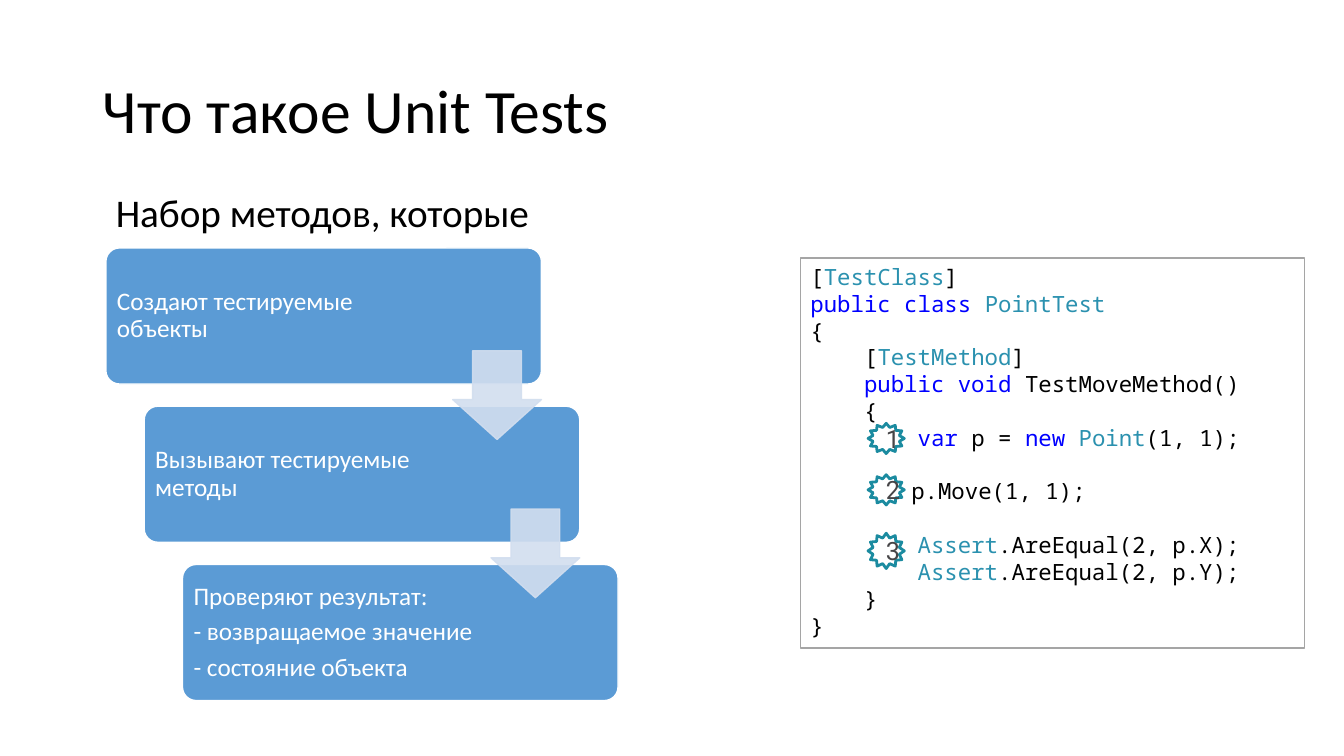
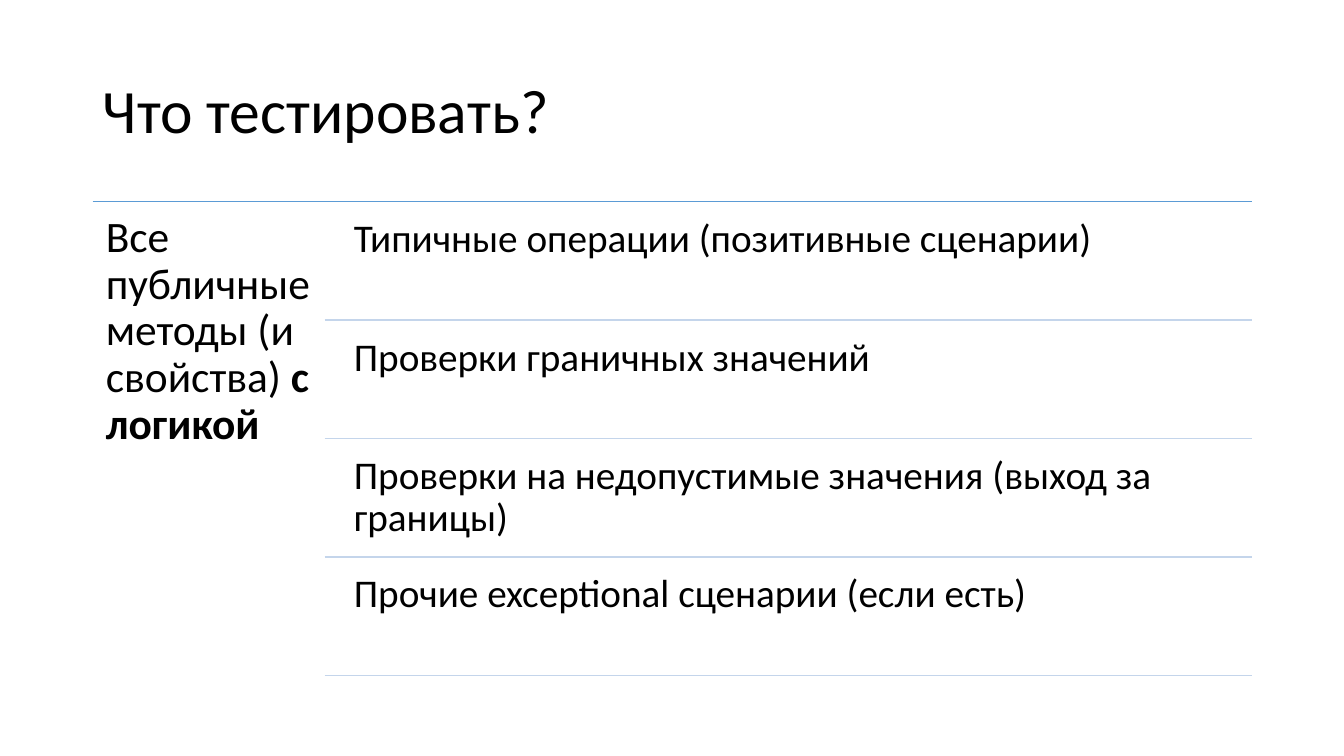
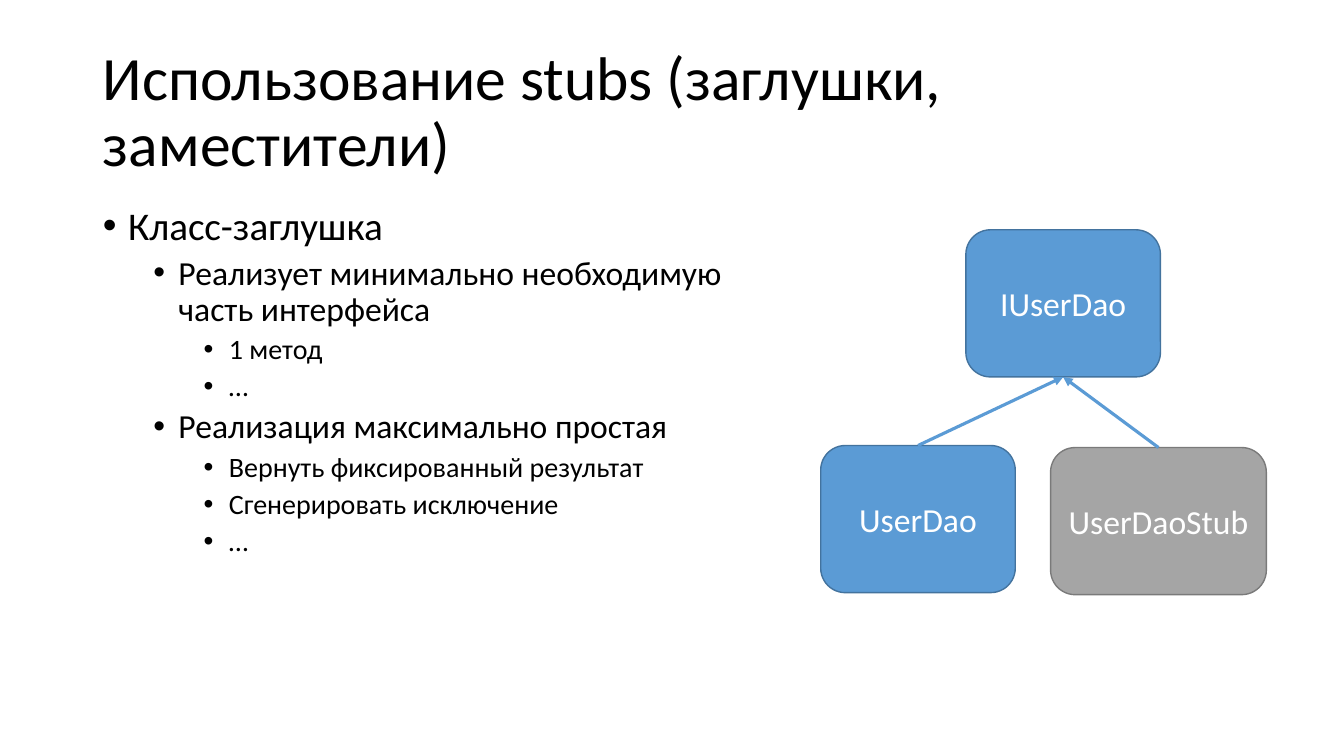
"""Build three slides about unit tests: definition, scope and stubs."""
from lxml import etree
from pptx import Presentation
from pptx.dml import color
from pptx.enum import shapes, text
from pptx.oxml import ns
from pptx.util import Inches, Pt

COLOURS = {
    "black": "000000", "white": "FFFFFF", "blue": "5B9BD5", "blue edge": "43739E",
    "pale": "D2DEEF", "rule": "C4D5EB", "grey": "A5A5A5", "grey edge": "7A7A7A",
    "teal": "1B8BA0", "digit": "464547", "keyword": "0000FF", "type": "2B91AF",
}
SLIDE_WIDTH, SLIDE_HEIGHT = 13.33, 7.5
LEFT, CONTENT_TOP, CONTENT_WIDTH = 0.92, 2, 11.5
TITLE_BOX = (LEFT, 0.4, CONTENT_WIDTH, 1.45)
TITLE_ONLY, TITLE_AND_BODY = 5, 1

STEPS = [
    ["Создают тестируемые объекты"],
    ["Вызывают тестируемые методы"],
    ["Проверяют результат:", "- возвращаемое значение", "- состояние объекта"],
]
CODE = [
    [("[", "black"), ("TestClass", "type"), ("]", "black")],
    [("public class ", "keyword"), ("PointTest", "type")],
    [("{", "black")],
    [("    [", "black"), ("TestMethod", "type"), ("]", "black")],
    [("    public void ", "keyword"), ("TestMoveMethod()", "black")],
    [("    {", "black")],
    [("        var", "keyword"), (" p = ", "black"), ("new ", "keyword"),
     ("Point", "type"), ("(1, 1);", "black")],
    [],
    [("\tp.Move(1, 1);", "black")],
    [],
    [("        Assert", "type"), (".AreEqual(2, p.X);", "black")],
    [("        Assert", "type"), (".AreEqual(2, p.Y);", "black")],
    [("    }", "black")],
    [("}", "black")],
]
CODE_LINE, CODE_TAB = 19, 1
MARKS = [("1", 4.2, 0.3), ("2", 4.71, 0.3), ("3", 5.29, 0.35)]
SCOPE = [("Все публичные методы (и свойства) ", "black"), ("с логикой", "black")]
CASES = [
    "Типичные операции (позитивные сценарии)",
    "Проверки граничных значений",
    "Проверки на недопустимые значения (выход за границы)",
    "Прочие exceptional сценарии (если есть)",
]
STUB_POINTS = [
    (0, "Класс-заглушка"),
    (1, "Реализует минимально необходимую часть интерфейса"),
    (2, "1 метод"),
    (2, "…"),
    (1, "Реализация максимально простая"),
    (2, "Вернуть фиксированный результат"),
    (2, "Сгенерировать исключение"),
    (2, "…"),
]
LEVEL_SIZES = [28, 24, 20]
CLASSES = [
    ("IUserDao", (9.58, 2.28, 1.93, 1.46), "blue"),
    ("UserDao", (8.14, 4.42, 1.93, 1.46), "blue"),
    ("UserDaoStub", (10.42, 4.44, 2.14, 1.46), "grey"),
]


def rgb(name):
    return color.RGBColor.from_string(COLOURS[name])


def style_run(run, size, colour, font="Calibri"):
    run.font.size = Pt(size)
    run.font.name = font
    run.font.color.rgb = rgb(colour)


def write(frame, rows, size, font="Calibri", spacing=None, after=0,
          align=text.PP_ALIGN.LEFT, anchor=text.MSO_ANCHOR.TOP, insets=None):
    """Fill a frame with rows of (text, colour) runs; an empty row becomes a gap."""
    frame.word_wrap = True
    frame.auto_size = text.MSO_AUTO_SIZE.NONE
    frame.vertical_anchor = anchor
    if insets:
        (frame.margin_left, frame.margin_top, frame.margin_right,
         frame.margin_bottom) = map(Inches, insets)
    paragraph, gap = None, 0
    for row in rows:
        if not row:
            gap += CODE_LINE
            continue
        paragraph = frame.add_paragraph() if paragraph else frame.paragraphs[0]
        paragraph.alignment = align
        if spacing:
            paragraph.line_spacing = spacing
        if after:
            paragraph.space_after = Pt(after)
        if gap:
            paragraph.space_before = Pt(gap)
            gap = 0
        for content, colour in row:
            run = paragraph.add_run()
            run.text = content
            style_run(run, size, colour, font)


def place(shape, box):
    shape.left, shape.top, shape.width, shape.height = map(Inches, box)


def add_slide(presentation, layout, title):
    slide = presentation.slides.add_slide(presentation.slide_layouts[layout])
    place(slide.shapes.title, TITLE_BOX)
    write(slide.shapes.title.text_frame, [[(title, "black")]], 44, spacing=0.9,
          anchor=text.MSO_ANCHOR.MIDDLE)
    return slide


def add_box(slide, kind, box, fill, line, width=1, adjustments=()):
    shape = slide.shapes.add_shape(kind, *map(Inches, box))
    shape.shadow.inherit = False
    shape.fill.solid()
    shape.fill.fore_color.rgb = rgb(fill)
    shape.line.color.rgb = rgb(line)
    shape.line.width = Pt(width)
    for index, value in enumerate(adjustments):
        shape.adjustments[index] = value
    return shape


def add_text(slide, box, rows, size, **options):
    frame = slide.shapes.add_textbox(*map(Inches, box)).text_frame
    write(frame, rows, size, **options)
    return frame


def add_line(slide, start, end, colour, width=1, arrow=False):
    line = slide.shapes.add_connector(
        shapes.MSO_CONNECTOR.STRAIGHT, *map(Inches, (*start, *end)))
    line.line.color.rgb = rgb(colour)
    line.line.width = Pt(width)
    properties = line._element.spPr
    if arrow:
        etree.SubElement(properties.find(ns.qn("a:ln")), ns.qn("a:tailEnd"), type="triangle")
    etree.SubElement(properties, ns.qn("a:effectLst"))
    return line


def set_opacity(shape, percent):
    for fill in shape._element.spPr.iter(ns.qn("a:srgbClr")):
        etree.SubElement(fill, ns.qn("a:alpha"), val=str(percent * 1000))


def add_bullet(paragraph, level):
    properties = paragraph._p.get_or_add_pPr()
    properties.set("marL", str(Inches(0.25 + 0.5 * level)))
    properties.set("indent", str(Inches(-0.25)))
    etree.SubElement(properties, ns.qn("a:buFont"), typeface="Arial")
    etree.SubElement(properties, ns.qn("a:buChar"), char="•")


def add_tab_stop(paragraph, position):
    stops = etree.SubElement(paragraph._p.get_or_add_pPr(), ns.qn("a:tabLst"))
    etree.SubElement(stops, ns.qn("a:tab"), pos=str(Inches(position)), algn="l")


def build_definition(presentation):
    slide = add_slide(presentation, TITLE_ONLY, "Что такое Unit Tests")
    left, top, width, height = 1.05, 2.46, 4.32, 1.35
    shift, pitch, arrow_size = 0.38, 1.57, 0.88
    for index, lines in enumerate(STEPS):
        box = (left + index * shift, top + index * pitch, width, height)
        step = add_box(slide, shapes.MSO_SHAPE.ROUNDED_RECTANGLE, box, "blue", "white",
                       adjustments=[0.1])
        write(step.text_frame, [[(line, "white")] for line in lines], 18, spacing=0.9,
              after=6, anchor=text.MSO_ANCHOR.MIDDLE, insets=(0.07, 0.07, 1.35, 0.07))
    for index in range(len(STEPS) - 1):
        box = (left + width - arrow_size + index * shift, 3.48 + index * pitch,
               arrow_size, arrow_size)
        arrow = add_box(slide, shapes.MSO_SHAPE.DOWN_ARROW, box, "pale", "pale",
                        adjustments=[0.55, 0.45])
        set_opacity(arrow, 90)
    code = add_box(slide, shapes.MSO_SHAPE.RECTANGLE, (7.94, 2.56, 5, 3.87), "white", "grey")
    write(code.text_frame, CODE, 16, font="Noto Sans Mono")
    for paragraph in code.text_frame.paragraphs:
        add_tab_stop(paragraph, CODE_TAB)
    lead = add_text(slide, (left, 1.82, 4.34, 0.57),
                    [[("Набор методов, которые", "black")]], 28)
    lead.word_wrap = False
    for digit, mark_top, mark_height in MARKS:
        mark = add_box(slide, shapes.MSO_SHAPE.STAR_12_POINT,
                       (8.61, mark_top, 0.36, mark_height), "white", "teal", 2)
        write(mark.text_frame, [[(digit, "digit")]], 18, font="Roboto",
              align=text.PP_ALIGN.CENTER, anchor=text.MSO_ANCHOR.MIDDLE)


def build_scope(presentation):
    slide = add_slide(presentation, TITLE_ONLY, "Что тестировать?")
    right, column, pitch = LEFT + CONTENT_WIDTH, CONTENT_WIDTH / 5, 4.7 / len(CASES)
    add_line(slide, (LEFT, CONTENT_TOP), (right, CONTENT_TOP), "blue")
    scope = add_text(slide, (LEFT, CONTENT_TOP, column, 4.76), [SCOPE], 31,
                     spacing=0.9, insets=[0.13] * 4)
    scope.paragraphs[0].runs[-1].font.bold = True
    for index, case in enumerate(CASES):
        top = CONTENT_TOP + index * pitch
        add_text(slide, (3.39, top + 0.05, right - 3.39, 1.12), [[(case, "black")]], 28,
                 spacing=0.9, insets=[0.12] * 4)
        add_line(slide, (LEFT + column, top + pitch), (right, top + pitch), "rule")


def build_stubs(presentation):
    slide = add_slide(presentation, TITLE_AND_BODY, "Использование stubs (заглушки, заместители)")
    body = slide.placeholders[1]
    place(body, (LEFT, CONTENT_TOP, 6.63, 4.76))
    write(body.text_frame, [[(point, "black")] for _, point in STUB_POINTS], 28, spacing=0.9)
    for index, (level, _) in enumerate(STUB_POINTS):
        paragraph = body.text_frame.paragraphs[index]
        paragraph.level = level
        add_bullet(paragraph, level)
        paragraph.space_before = Pt(5 if index else 0)
        paragraph.runs[0].font.size = Pt(LEVEL_SIZES[level])
    boxes = []
    for name, box, colour in CLASSES:
        shape = add_box(slide, shapes.MSO_SHAPE.ROUNDED_RECTANGLE, box, colour, f"{colour} edge")
        write(shape.text_frame, [[(name, "white")]], 24, align=text.PP_ALIGN.CENTER,
              anchor=text.MSO_ANCHOR.MIDDLE)
        boxes.append(shape)
    interface, *implementations = boxes
    for implementation in implementations:
        arrow = add_line(slide, (0, 0), (1, 1), "blue", 2.25, arrow=True)
        arrow.begin_connect(implementation, 0)
        arrow.end_connect(interface, 2)


def main():
    presentation = Presentation()
    presentation.slide_width = Inches(SLIDE_WIDTH)
    presentation.slide_height = Inches(SLIDE_HEIGHT)
    build_definition(presentation)
    build_scope(presentation)
    build_stubs(presentation)
    presentation.save("out.pptx")


if __name__ == "__main__":
    main()
